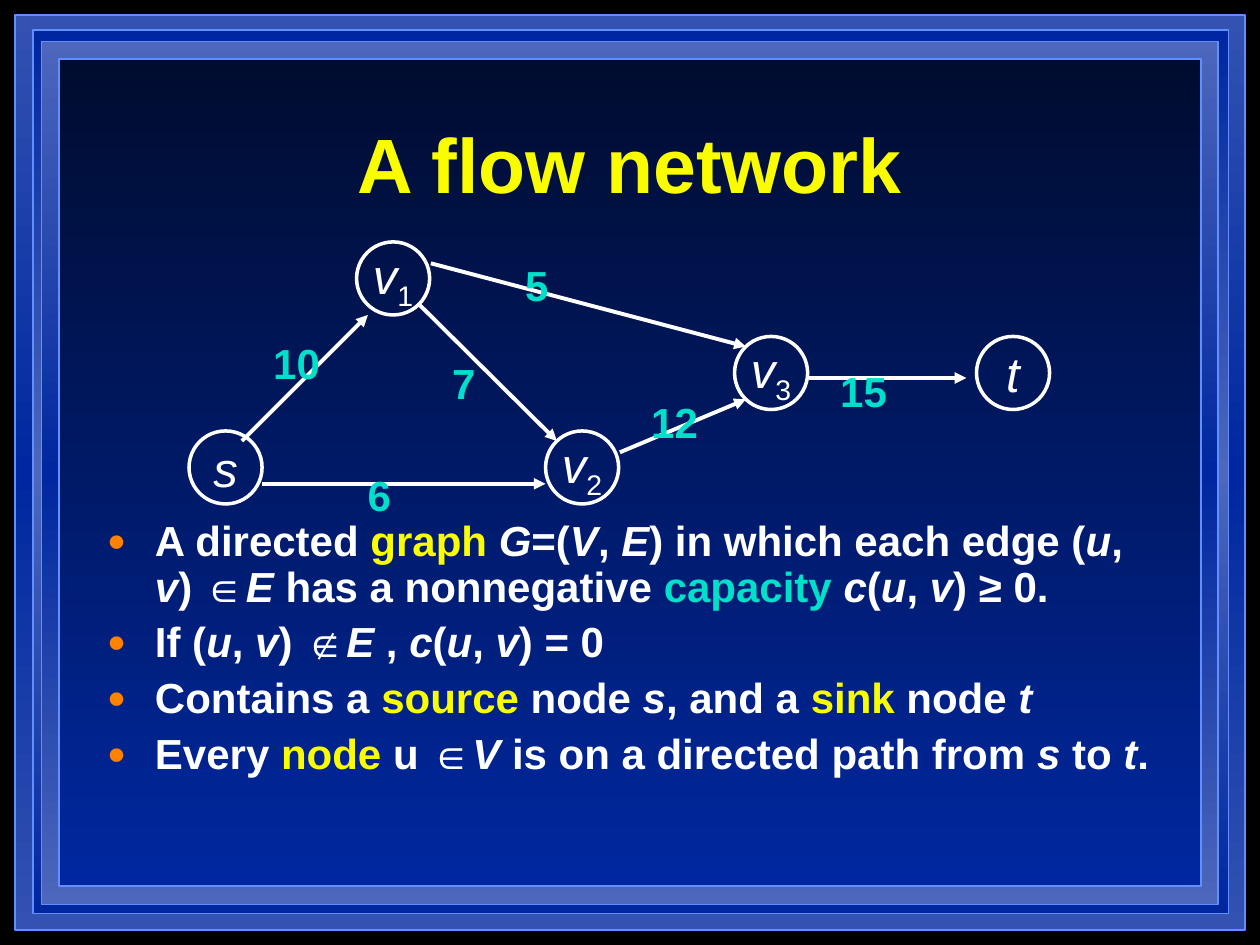
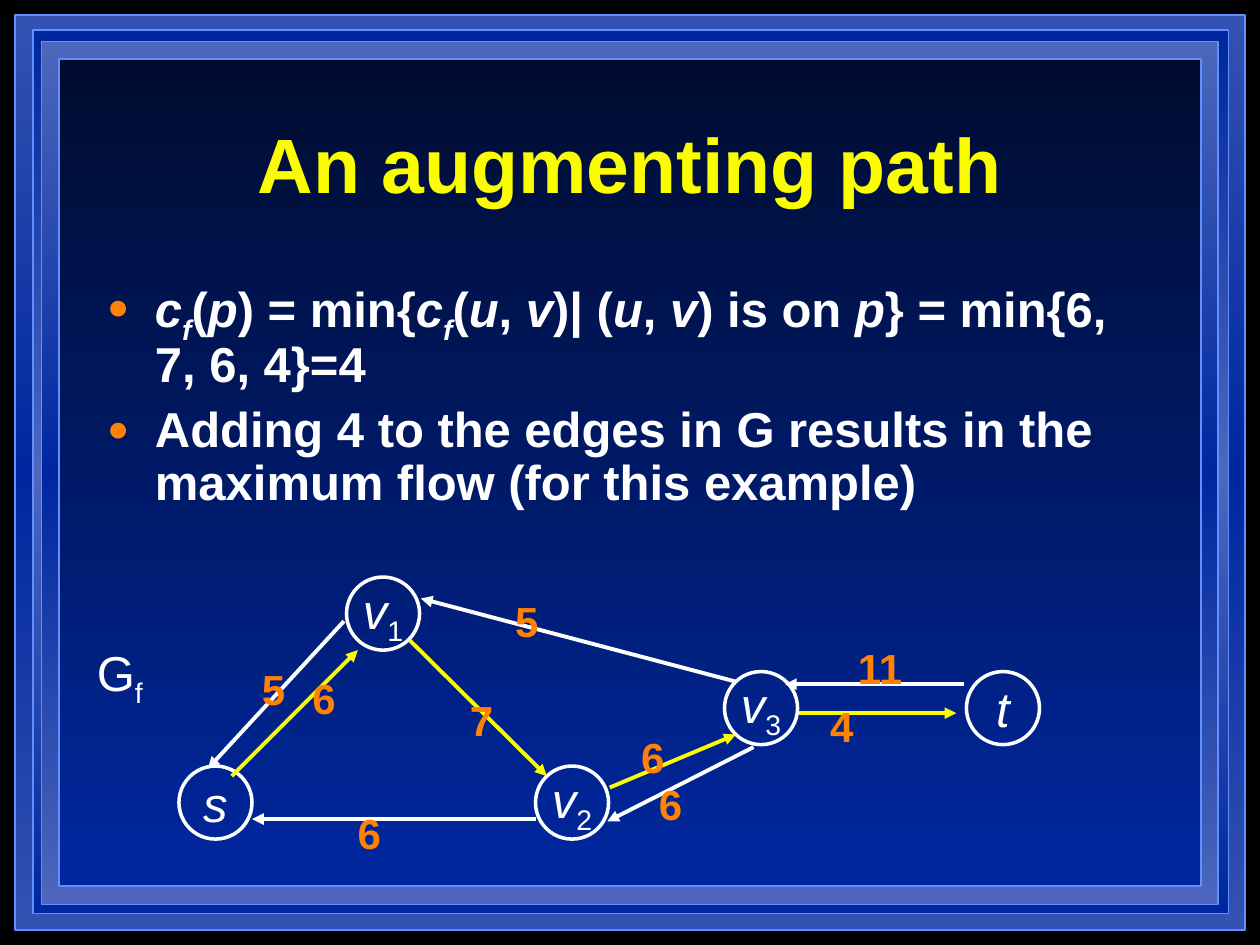
from dataclasses import dataclass
from typing import NamedTuple, Optional

from lxml.etree import SubElement
from pptx import Presentation
from pptx.dml.color import RGBColor
from pptx.enum.shapes import MSO_CONNECTOR, MSO_SHAPE
from pptx.enum.text import MSO_ANCHOR, MSO_AUTO_SIZE, PP_ALIGN
from pptx.oxml import parse_xml
from pptx.oxml.ns import nsdecls, qn
from pptx.util import Inches, Pt


@dataclass(frozen=True)
class Theme:
    font: str = "Arial"
    black: RGBColor = RGBColor(0x00, 0x00, 0x00)
    white: RGBColor = RGBColor(0xFF, 0xFF, 0xFF)
    yellow: RGBColor = RGBColor(0xFA, 0xFD, 0x00)
    teal: RGBColor = RGBColor(0x00, 0xDF, 0xCA)
    orange: RGBColor = RGBColor(0xFF, 0x82, 0x03)
    outline: RGBColor = RGBColor(0x61, 0x8F, 0xFD)
    navy: str = "000C2F"
    blue: str = "00279F"
    steel: str = "3352B2"
    sky: str = "4C67BC"
    title_size: int = 44
    large_size: int = 28
    small_size: int = 24


THEME = Theme()


class Frame(NamedTuple):
    left: float
    top: float
    width: float
    height: float
    stops: tuple[str, ...]


class Run(NamedTuple):
    text: str
    color: RGBColor = THEME.white
    italic: bool = False
    sub: bool = False


class Node(NamedTuple):
    x: float
    y: float
    runs: list[Run]


class Edge(NamedTuple):
    x1: float
    y1: float
    x2: float
    y2: float


class Arrow(NamedTuple):
    edge: Edge
    color: RGBColor = THEME.white
    back: bool = False


class Label(NamedTuple):
    text: str
    x: float
    y: float


@dataclass(frozen=True)
class Graph:
    left: float
    top: float
    arrows: list[Arrow]
    labels: list[Label]
    label_color: RGBColor


@dataclass(frozen=True)
class FlowSlide:
    title: str
    body_top: float
    body_height: float
    body_size: int
    body_space: int
    bullets: list[list[Run]]
    graph: Graph
    caption: Optional[list[Run]] = None


def var(name: str, sub: bool = False) -> Run:
    return Run(name, italic=True, sub=sub)


def vertex(index: int) -> list[Run]:
    return [var("v"), Run(str(index), sub=True)]


FRAMES = [
    Frame(0.12, 0.12, 9.76, 7.26, (THEME.steel, THEME.blue, THEME.steel)),
    Frame(0.26, 0.24, 9.49, 7.01, (THEME.blue, THEME.sky, THEME.blue)),
    Frame(0.33, 0.33, 9.34, 6.85, (THEME.sky, THEME.blue, THEME.sky)),
    Frame(0.47, 0.47, 9.06, 6.56, (THEME.navy, THEME.blue)),
]

NODE_SIZE = 0.58
NODES = [
    Node(0, 1.5, [var("s")]),
    Node(2.83, 1.5, vertex(2)),
    Node(1.33, 0, vertex(1)),
    Node(4.33, 0.75, vertex(3)),
    Node(6.25, 0.75, [var("t")]),
]
S_V1 = Edge(0.42, 1.58, 1.42, 0.58)
V1_V2 = Edge(1.83, 0.5, 2.92, 1.58)
S_V2 = Edge(0.58, 1.92, 2.83, 1.92)
V2_V3 = Edge(3.42, 1.67, 4.42, 1.25)
V1_V3 = Edge(1.92, 0.17, 4.42, 0.83)
V3_T = Edge(4.92, 1.08, 6.17, 1.08)

PAIR = [var("u"), Run(", "), var("v")]
CF = [var("c"), var("f", sub=True)]

SLIDES = [
    FlowSlide(
        "A flow network", 4.08, 2.58, THEME.small_size, 6,
        [
            [Run("A directed "), Run("graph ", THEME.yellow), var("G"), Run("=("),
             var("V"), Run(", "), var("E"), Run(") in which each edge ("), *PAIR,
             Run(") ∈"), var("E"), Run(" has a nonnegative "),
             Run("capacity ", THEME.teal), var("c"), Run("("), *PAIR, Run(") ≥ 0.")],
            [Run("If ("), *PAIR, Run(") ∉"), var("E"), Run(" , "), var("c"),
             Run("("), *PAIR, Run(") = 0")],
            [Run("Contains a "), Run("source", THEME.yellow), Run(" node "), var("s"),
             Run(", and a "), Run("sink", THEME.yellow), Run(" node "), var("t")],
            [Run("Every "), Run("node", THEME.yellow), Run(" u ∈"), var("V"),
             Run(" is on a directed path from "), var("s"), Run(" to "), var("t"),
             Run(".")],
        ],
        Graph(
            1.5, 1.92,
            [Arrow(edge) for edge in (S_V1, V1_V2, S_V2, V2_V3, V1_V3, V3_T)],
            [Label("10", 0.57, 0.71), Label("6", 1.32, 1.76), Label("7", 1.99, 0.87),
             Label("5", 2.57, 0.09), Label("12", 3.57, 1.18), Label("15", 5.07, 0.93)],
            THEME.teal,
        ),
    ),
    FlowSlide(
        "An augmenting path", 2.17, 2.17, THEME.large_size, 7,
        [
            [*CF, Run("("), var("p"), Run(") = min{"), *CF, Run("("), *PAIR,
             Run(")| ("), *PAIR, Run(") is on "), var("p"),
             Run("} = min{6, 7, 6, 4}=4")],
            [Run("Adding 4 to the edges in G results in the maximum flow "
                 "(for this example)")],
        ],
        Graph(
            1.42, 4.58,
            [*(Arrow(edge, THEME.yellow) for edge in (S_V1, V1_V2, V2_V3, V3_T)),
             Arrow(S_V2, back=True), Arrow(V1_V3, back=True),
             Arrow(Edge(1.31, 0.35, 0.23, 1.52)),
             Arrow(Edge(4.56, 1.35, 3.4, 1.94)),
             Arrow(Edge(4.81, 0.85, 6.23, 0.85), back=True)],
            [Label("6", 0.96, 0.71), Label("6", 1.32, 1.78), Label("7", 2.21, 0.88),
             Label("5", 2.57, 0.1), Label("6", 3.57, 1.18), Label("4", 5.07, 0.93),
             Label("5", 0.56, 0.64), Label("6", 3.71, 1.55), Label("11", 5.29, 0.47)],
            THEME.orange,
        ),
        [Run("G"), Run("f", sub=True)],
    ),
]


def add_runs(p, runs: list[Run], size: int, bold: bool = False) -> None:
    for run in runs:
        r = p.add_run()
        r.text = run.text
        r.font.name = THEME.font
        r.font.size = Pt(size)
        r.font.bold = bold
        r.font.italic = run.italic
        r.font.color.rgb = run.color
        if run.sub:
            r._r.get_or_add_rPr().set("baseline", "-25000")


def place(sp, left: float, top: float, width: float, height: float) -> None:
    sp.left, sp.top = Inches(left), Inches(top)
    sp.width, sp.height = Inches(width), Inches(height)


def fill_gradient(sp, colors: tuple[str, ...]) -> None:
    last = len(colors) - 1
    stops = "".join(
        f'<a:gs pos="{100000 * i // last}"><a:srgbClr val="{color}"/></a:gs>'
        for i, color in enumerate(colors)
    )
    gradient = parse_xml(
        f'<a:gradFill {nsdecls("a")} rotWithShape="1"><a:gsLst>{stops}</a:gsLst>'
        '<a:lin ang="5400000" scaled="0"/></a:gradFill>'
    )
    sp.element.spPr.find(qn("a:prstGeom")).addnext(gradient)


def add_master_frames(prs, s) -> None:
    master = prs.slide_master
    master.background.fill.solid()
    master.background.fill.fore_color.rgb = THEME.black
    tree = master.shapes.element
    for i, frame in enumerate(FRAMES):
        sp = s.shapes.add_shape(MSO_SHAPE.RECTANGLE, 0, 0, 0, 0)
        place(sp, *frame[:4])
        sp.shadow.inherit = False
        sp.line.color.rgb = THEME.outline
        sp.line.width = Pt(1)
        fill_gradient(sp, frame.stops)
        sp.element.nvSpPr.cNvPr.set("id", str(100 + i))
        tree.insert(2 + i, sp.element)


def add_bullet(p) -> None:
    pPr = p._p.get_or_add_pPr()
    pPr.set("marL", str(Inches(0.38)))
    pPr.set("indent", str(-Inches(0.38)))
    color = SubElement(pPr, qn("a:buClr"))
    SubElement(color, qn("a:srgbClr"), val=str(THEME.orange))
    SubElement(pPr, qn("a:buSzPct"), val="75000")
    SubElement(pPr, qn("a:buFont"), typeface=THEME.font)
    SubElement(pPr, qn("a:buChar"), char="●")


def fill_title(sp, title: str) -> None:
    place(sp, 0.75, 0.67, 8.5, 1.25)
    tf = sp.text_frame
    tf.auto_size = MSO_AUTO_SIZE.NONE
    tf.vertical_anchor = MSO_ANCHOR.MIDDLE
    p = tf.paragraphs[0]
    p.alignment = PP_ALIGN.CENTER
    add_runs(p, [Run(title, THEME.yellow)], THEME.title_size, bold=True)


def fill_body(sp, slide: FlowSlide) -> None:
    place(sp, 0.75, slide.body_top, 8.5, slide.body_height)
    tf = sp.text_frame
    tf.auto_size = MSO_AUTO_SIZE.NONE
    for i, runs in enumerate(slide.bullets):
        p = tf.add_paragraph() if i else tf.paragraphs[0]
        add_bullet(p)
        p.line_spacing = 0.9
        p.space_before = Pt(slide.body_space if i else 0)
        add_runs(p, runs, slide.body_size, bold=True)


def add_text(s, box: tuple[float, float, float, float], runs: list[Run],
             size: int, bold: bool = False) -> None:
    sp = s.shapes.add_textbox(*(Inches(v) for v in box))
    tf = sp.text_frame
    tf.word_wrap = False
    tf.auto_size = MSO_AUTO_SIZE.SHAPE_TO_FIT_TEXT
    add_runs(tf.paragraphs[0], runs, size, bold)


def add_node(s, graph: Graph, node: Node) -> None:
    sp = s.shapes.add_shape(MSO_SHAPE.OVAL, 0, 0, 0, 0)
    place(sp, graph.left + node.x, graph.top + node.y, NODE_SIZE, NODE_SIZE)
    sp.shadow.inherit = False
    sp.fill.background()
    sp.line.color.rgb = THEME.white
    sp.line.width = Pt(2)
    tf = sp.text_frame
    tf.word_wrap = False
    tf.vertical_anchor = MSO_ANCHOR.MIDDLE
    p = tf.paragraphs[0]
    p.alignment = PP_ALIGN.CENTER
    add_runs(p, node.runs, THEME.large_size)


def add_arrow(s, graph: Graph, arrow: Arrow) -> None:
    edge = arrow.edge
    line = s.shapes.add_connector(
        MSO_CONNECTOR.STRAIGHT,
        Inches(graph.left + edge.x1), Inches(graph.top + edge.y1),
        Inches(graph.left + edge.x2), Inches(graph.top + edge.y2),
    )
    line.line.color.rgb = arrow.color
    line.line.width = Pt(2.25)
    end = "a:headEnd" if arrow.back else "a:tailEnd"
    SubElement(line.line._get_or_add_ln(), qn(end), type="triangle")
    SubElement(line.element.spPr, qn("a:effectLst"))


def add_graph(s, graph: Graph) -> None:
    for node in NODES:
        add_node(s, graph, node)
    for arrow in graph.arrows:
        add_arrow(s, graph, arrow)
    for label in graph.labels:
        box = (graph.left + label.x, graph.top + label.y,
               0.19 * (1 + len(label.text)), 0.5)
        add_text(s, box, [Run(label.text, graph.label_color)],
                 THEME.small_size, bold=True)


def main() -> None:
    prs = Presentation()
    prs.slide_width, prs.slide_height = Inches(10), Inches(7.5)
    for i, slide in enumerate(SLIDES):
        s = prs.slides.add_slide(prs.slide_layouts[1])
        if i == 0:
            add_master_frames(prs, s)
        fill_title(s.shapes.title, slide.title)
        fill_body(s.placeholders[1], slide)
        if slide.caption:
            add_text(s, (0.67, 5.05, 0.62, 0.63), slide.caption, THEME.large_size)
        add_graph(s, slide.graph)
    prs.save("out.pptx")


if __name__ == "__main__":
    main()
